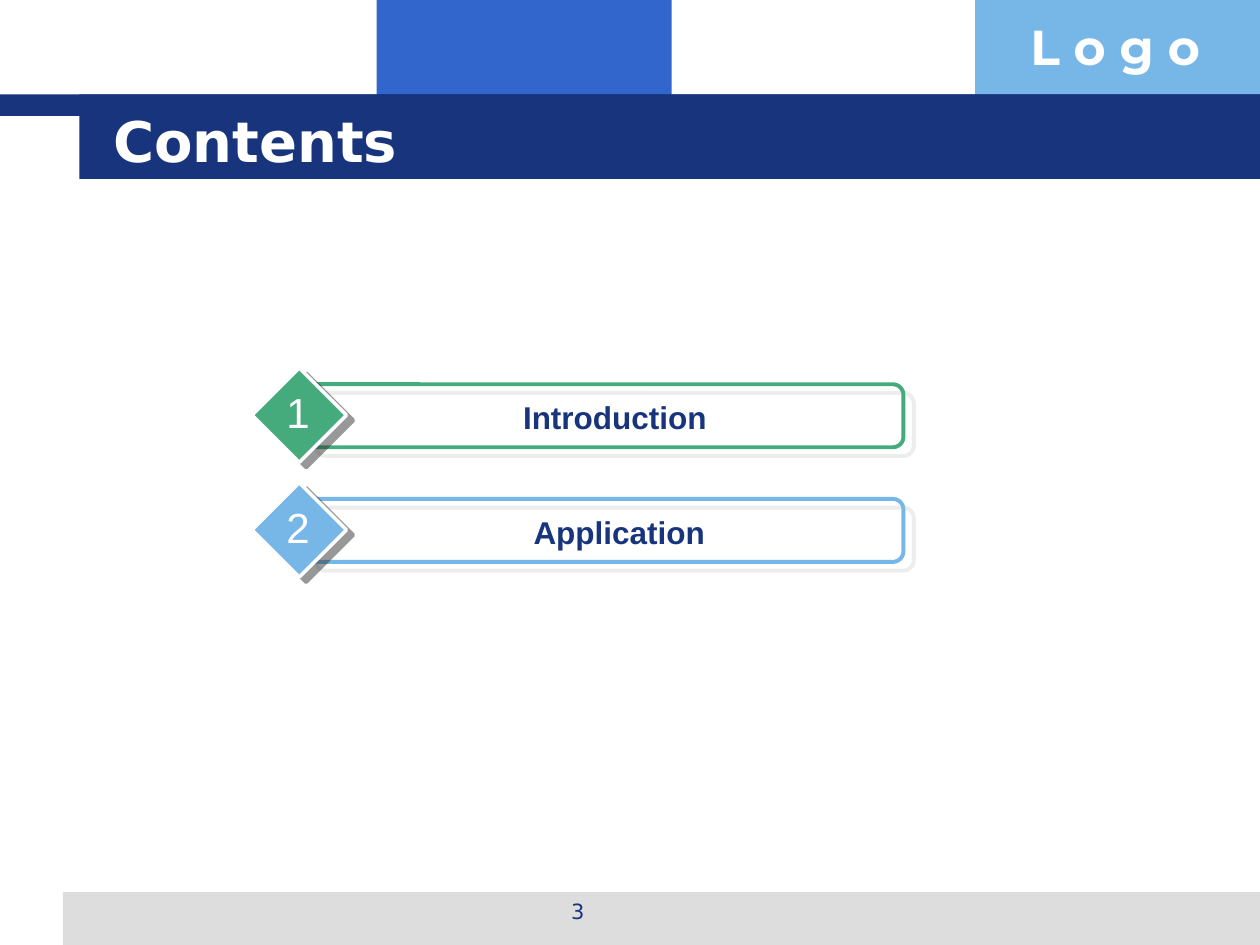
from dataclasses import dataclass
from typing import Optional

from lxml import etree
from pptx import Presentation
from pptx.dml.color import RGBColor
from pptx.enum.shapes import MSO_SHAPE as Preset
from pptx.enum.text import MSO_ANCHOR as Anchor, MSO_AUTO_SIZE as AutoSize, PP_ALIGN as Align
from pptx.oxml.ns import qn
from pptx.util import Inches, Pt

COLORS = {
    "navy": "17347D",
    "blue": "3366CC",
    "sky": "77B7E7",
    "green": "45AB7D",
    "gray": "DDDDDD",
    "dark": "333333",
    "white": "FFFFFF",
}
ITEM_TOP, ITEM_PITCH = 2.92, 0.91


@dataclass(frozen=True)
class Box:
    left: float
    top: float
    width: float
    height: float

    def lengths(self) -> list:
        return [Inches(v) for v in (self.left, self.top, self.width, self.height)]


@dataclass(frozen=True)
class Shadow:
    color: str
    distance: float
    angle: int


@dataclass(frozen=True)
class Item:
    number: str
    label: str
    color: str
    label_left: float
    label_width: float


BANDS = [
    (Box(2.99, 0, 2.34, 0.92), "blue"),
    (Box(7.74, 0, 2.26, 0.92), "sky"),
    (Box(0.5, 7.08, 9.5, 0.42), "gray"),
    (Box(0, 0.75, 10, 0.17), "navy"),
    (Box(0.63, 0.75, 9.37, 0.67), "navy"),
]
ITEMS = [
    Item("1", "Introduction", "green", 2.67, 4.42),
    Item("2", "Application", "sky", 2.75, 4.33),
]


def rgb(name: str) -> RGBColor:
    return RGBColor.from_string(COLORS[name])


def add_shadow(shape, shadow: Shadow) -> None:
    effects = shape._element.spPr.find(qn("a:effectLst"))
    outer = etree.SubElement(effects, qn("a:outerShdw"), blurRad="0",
                             dist=str(Pt(shadow.distance)),
                             dir=str(shadow.angle * 60000),
                             algn="ctr", rotWithShape="0")
    color = etree.SubElement(outer, qn("a:srgbClr"), val=COLORS[shadow.color])
    etree.SubElement(color, qn("a:alpha"), val="50000")


def add_shape(slide, preset: Preset, box: Box, fill: Optional[str] = None,
              line: Optional[str] = None, line_width: float = 1,
              shadow: Optional[Shadow] = None):
    shape = slide.shapes.add_shape(preset, *box.lengths())
    shape.shadow.inherit = False
    if fill:
        shape.fill.solid()
        shape.fill.fore_color.rgb = rgb(fill)
    else:
        shape.fill.background()
    if line:
        shape.line.color.rgb = rgb(line)
        shape.line.width = Pt(line_width)
    else:
        shape.line.fill.background()
    if shadow:
        add_shadow(shape, shadow)
    return shape


def add_text(slide, box: Box, text: str, size: int, font: str, color: str,
             bold: bool = False, align: Align = Align.CENTER,
             anchor: Anchor = Anchor.TOP, wrap: bool = True, grow: bool = False) -> None:
    frame = slide.shapes.add_textbox(*box.lengths()).text_frame
    frame.word_wrap = wrap
    frame.vertical_anchor = anchor
    frame.auto_size = AutoSize.SHAPE_TO_FIT_TEXT if grow else AutoSize.NONE
    paragraph = frame.paragraphs[0]
    paragraph.text = text
    paragraph.alignment = align
    paragraph.font.size = Pt(size)
    paragraph.font.name = font
    paragraph.font.bold = bold
    paragraph.font.color.rgb = rgb(color)


def add_item(slide, item: Item, top: float) -> None:
    add_shape(slide, Preset.ROUNDED_RECTANGLE, Box(2.42, top + 0.13, 4.75, 0.5),
              line=item.color, line_width=2.25, shadow=Shadow("gray", 7.8, 40))
    add_shape(slide, Preset.DIAMOND, Box(2, top, 0.75, 0.75), fill=item.color,
              line="white", line_width=2, shadow=Shadow("dark", 5, 37))
    add_text(slide, Box(item.label_left, top + 0.19, item.label_width, 0.4),
             item.label, 18, "Arial", "navy", bold=True, grow=True)
    add_text(slide, Box(2.17, top + 0.1, 0.39, 0.5), item.number, 24, "Arial",
             "white", wrap=False, grow=True)


def main() -> None:
    presentation = Presentation()
    presentation.slide_width, presentation.slide_height = Inches(10), Inches(7.5)
    slide = presentation.slides.add_slide(presentation.slide_layouts[6])

    # Header and footer bands
    for box, color in BANDS:
        add_shape(slide, Preset.RECTANGLE, box, fill=color)

    # Logo word, page number and title
    add_text(slide, Box(8.08, 0.08, 1.93, 0.57), "L o g o", 28, "Montserrat", "white",
             bold=True, align=Align.LEFT, grow=True)
    add_text(slide, Box(3.42, 7.08, 2.33, 0.35), "3", 12, "DejaVu Sans", "navy")
    add_text(slide, Box(0.8, 0.8, 8.53, 0.62), "Contents", 32, "DejaVu Sans", "white",
             bold=True, align=Align.LEFT, anchor=Anchor.MIDDLE)

    # Numbered contents
    for index, item in enumerate(ITEMS):
        add_item(slide, item, ITEM_TOP + index * ITEM_PITCH)

    presentation.save("out.pptx")


if __name__ == "__main__":
    main()
